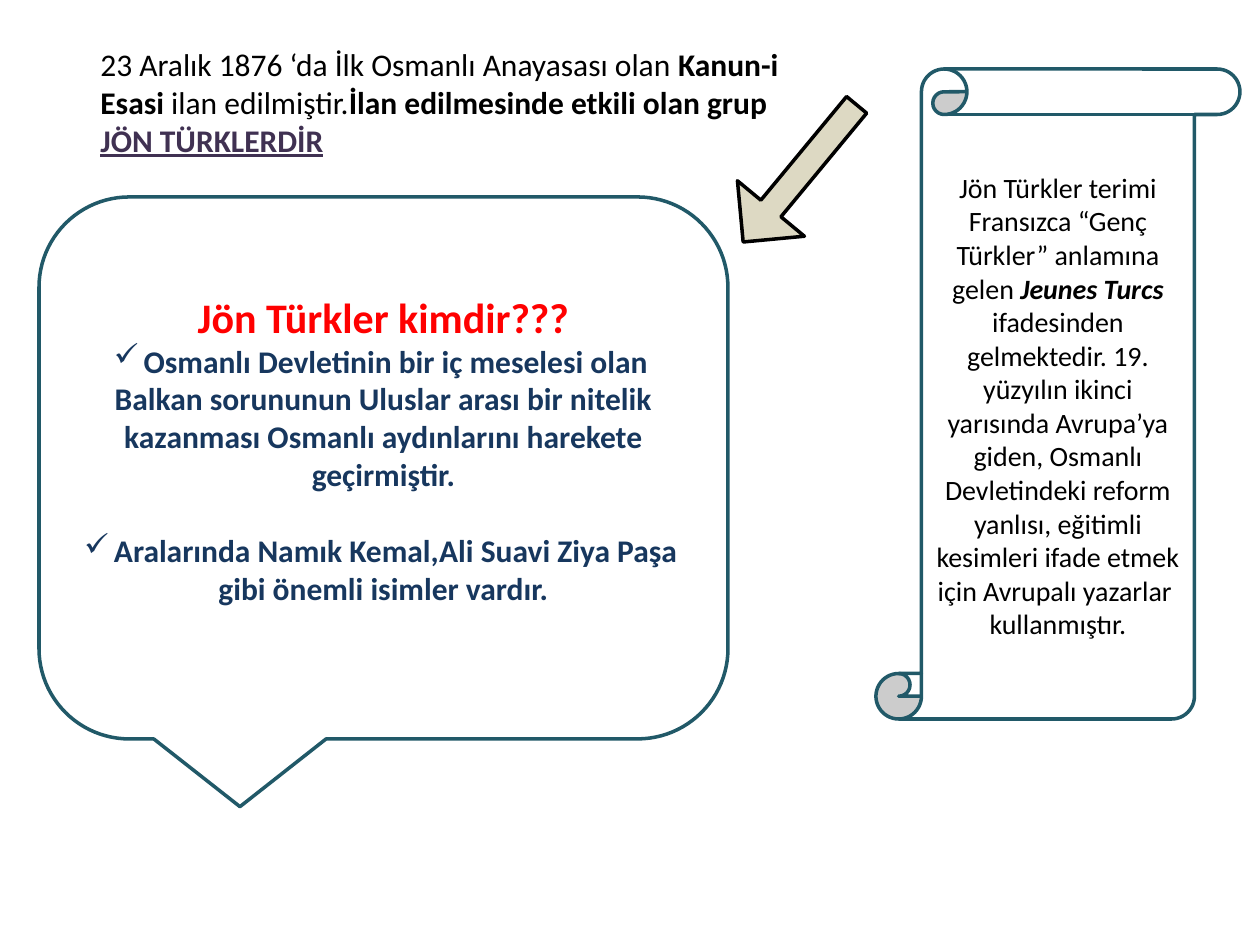
"""Build a slide on the Young Turks: an introduction, a callout, a scroll and an arrow."""
from lxml.etree import SubElement
from pptx import Presentation
from pptx.dml.color import RGBColor
from pptx.enum.shapes import MSO_SHAPE as Shape
from pptx.enum.text import MSO_ANCHOR as Anchor, PP_ALIGN as Align
from pptx.oxml.ns import qn
from pptx.util import Emu, Pt

THEME = {
    "font": "Calibri",
    "colors": {"ink": "000000", "paper": "FFFFFF", "teal": "215968", "navy": "17375E",
               "red": "FF0000", "plum": "403152", "sand": "DDD9C3"},
    "sizes": {"heading": 24, "body": 18, "scroll": 16},
    "line": 2,
}
PAGE = (1260, 945)
BOLD = {"bold": True}

INTRO = [{"spans": [
    ("23 Aralık 1876 ‘da İlk Osmanlı Anayasası olan ", "ink", {}),
    ("Kanun-i Esasi ", "ink", BOLD),
    ("ilan edilmiştir.", "ink", {}),
    ("İlan edilmesinde etkili olan grup ", "ink", BOLD),
    ("JÖN TÜRKLERDİR", "plum", {"bold": True, "underline": True}),
]}]
SCROLL = [{"size": "scroll", "spans": [
    ("Jön Türkler terimi Fransızca “Genç Türkler” anlamına gelen ", "ink", {}),
    ("Jeunes Turcs ", "ink", {"bold": True, "italic": True}),
    ("ifadesinden gelmektedir. 19. yüzyılın ikinci yarısında Avrupa’ya giden, "
     "Osmanlı Devletindeki reform yanlısı, eğitimli kesimleri ifade etmek için "
     "Avrupalı yazarlar  kullanmıştır.", "ink", {}),
]}]
CALLOUT = [
    {"size": "heading", "spans": [("Jön Türkler kimdir???", "red", BOLD)]},
    {"bullet": "✓", "spans": [
        ("Osmanlı Devletinin bir iç meselesi olan Balkan sorununun Uluslar arası bir "
         "nitelik kazanması Osmanlı aydınlarını harekete geçirmiştir.", "navy", BOLD)]},
    {"bullet": "✓", "before": 22, "spans": [
        ("Aralarında Namık Kemal,Ali Suavi Ziya Paşa gibi önemli isimler vardır.",
         "navy", BOLD)]},
]
SHAPES = [
    {"kind": Shape.VERTICAL_SCROLL, "at": (876, 69, 364, 650), "fill": "paper",
     "line": "teal", "text": SCROLL},
    {"kind": Shape.ROUNDED_RECTANGULAR_CALLOUT, "at": (39, 197, 689, 542),
     "fill": "paper", "line": "teal", "text": CALLOUT, "bottom": 44},
    {"kind": Shape.RIGHT_ARROW, "at": (711, 130, 178, 87), "fill": "sand",
     "line": "ink", "rotation": 309.6, "flip": True, "adjust": (0.3, 0.5)},
]
INTRO_AT = (88, 39, 728, 127)


def px(value):
    return Emu(round(value * 914400 / 126))


def color(name):
    return RGBColor.from_string(THEME["colors"][name])


def write(frame, paragraphs, align):
    frame.word_wrap = True
    for index, item in enumerate(paragraphs):
        para = frame.paragraphs[0] if index == 0 else frame.add_paragraph()
        para.alignment = align
        para.space_before = Pt(item.get("before", 0))
        if "bullet" in item:
            SubElement(para._p.get_or_add_pPr(), qn("a:buChar"), char=item["bullet"])
        for text, ink, style in item["spans"]:
            span = para.add_run()
            span.text = text
            span.font.color.rgb = color(ink)
            formats = {"name": THEME["font"],
                       "size": Pt(THEME["sizes"][item.get("size", "body")]), **style}
            for key, value in formats.items():
                setattr(span.font, key, value)


def draw(page, item):
    shape = page.shapes.add_shape(item["kind"], *map(px, item["at"]))
    shape.shadow.inherit = False
    shape.fill.solid()
    shape.fill.fore_color.rgb = color(item["fill"])
    shape.line.color.rgb = color(item["line"])
    shape.line.width = Pt(THEME["line"])
    shape.rotation = item.get("rotation", 0)
    if item.get("flip"):
        shape._element.spPr.find(qn("a:xfrm")).set("flipH", "1")
    for index, value in enumerate(item.get("adjust", ())):
        shape.adjustments[index] = value
    if "text" in item:
        shape.text_frame.vertical_anchor = Anchor.MIDDLE
        if "bottom" in item:
            shape.text_frame.margin_bottom = px(item["bottom"])
        write(shape.text_frame, item["text"], Align.CENTER)


def main():
    deck = Presentation()
    deck.slide_width, deck.slide_height = map(px, PAGE)
    page = deck.slides.add_slide(deck.slide_layouts[6])
    for item in SHAPES:
        draw(page, item)
    box = page.shapes.add_textbox(*map(px, INTRO_AT))
    write(box.text_frame, INTRO, Align.LEFT)
    deck.save("out.pptx")


if __name__ == "__main__":
    main()
